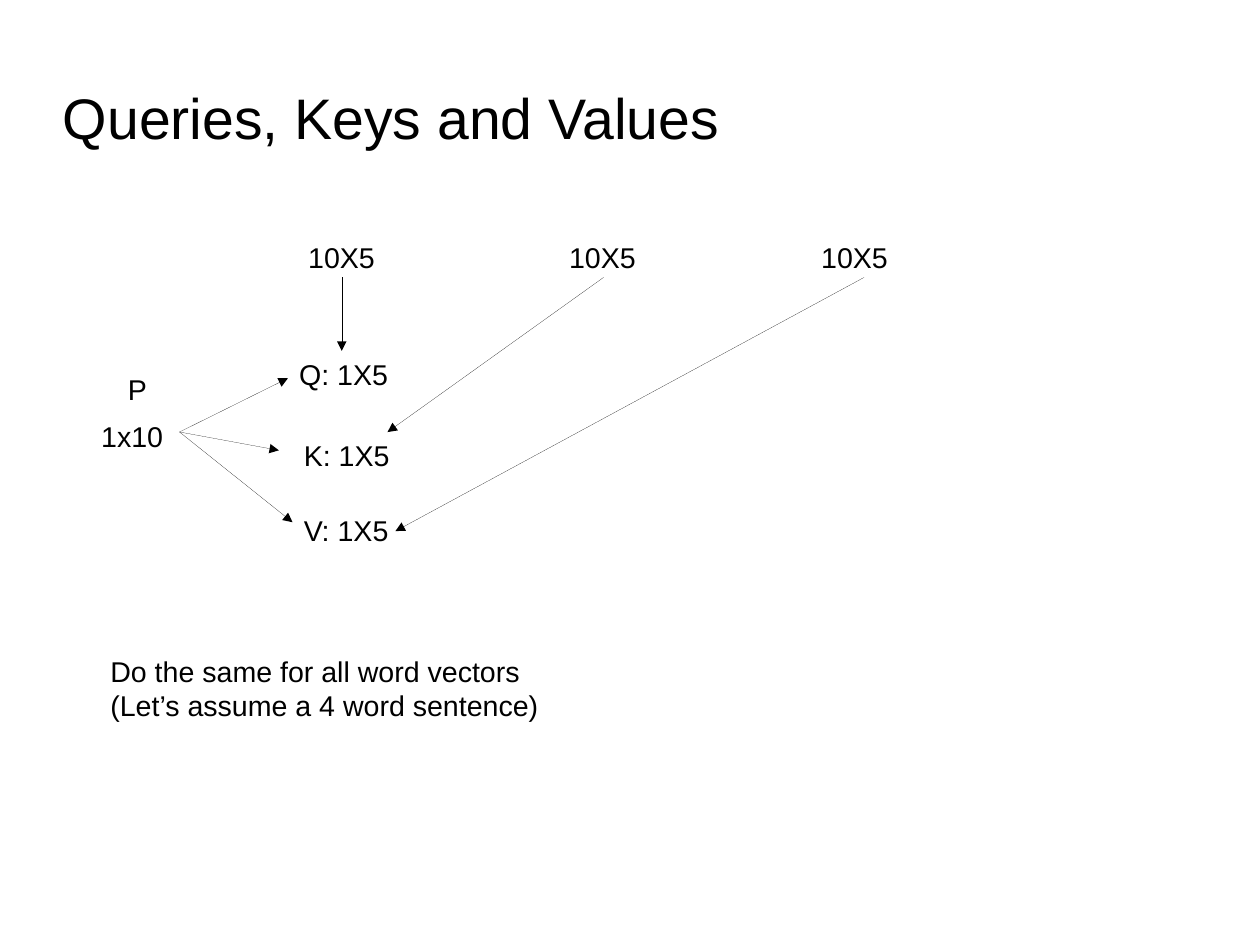
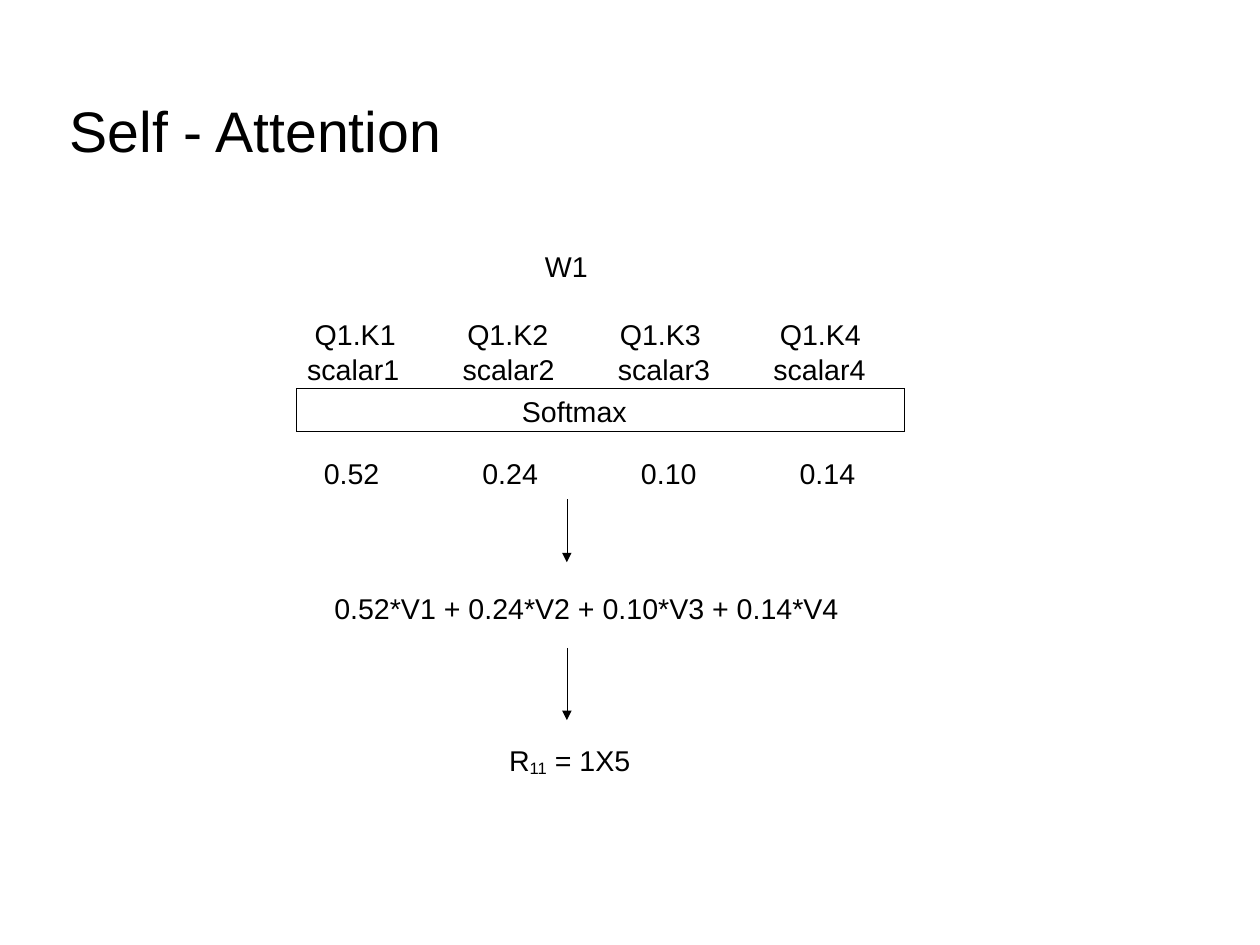
from dataclasses import dataclass

from lxml.etree import SubElement
from pptx import Presentation
from pptx.dml.color import RGBColor
from pptx.enum.shapes import MSO_CONNECTOR, MSO_SHAPE
from pptx.enum.text import MSO_ANCHOR, PP_ALIGN
from pptx.oxml.ns import qn
from pptx.shapes.autoshape import Shape
from pptx.shapes.connector import Connector
from pptx.slide import Slide
from pptx.text.text import TextFrame
from pptx.util import Pt

TOP, LEFT, BOTTOM, RIGHT = range(4)


@dataclass(frozen=True)
class Theme:
    font: str = "Arial"
    ink: RGBColor = RGBColor(0, 0, 0)
    title_size: float = 36
    body_size: float = 18
    hairline: str = "0"
    inset_x: float = 7.2
    inset_y: float = 3.6
    subscript: str = "-8000"


THEME = Theme()


@dataclass(frozen=True)
class Label:
    text: str
    left: float
    top: float
    width: float
    height: float = 27.4


@dataclass(frozen=True)
class Site:
    """The middle of one side of a shape."""
    shape: Shape
    side: int


@dataclass(frozen=True)
class Point:
    x: float
    y: float


@dataclass(frozen=True)
class Row:
    texts: tuple[str, ...]
    lefts: tuple[float, ...]
    top: float


def write(frame: TextFrame, text: str, size: float) -> None:
    frame.word_wrap = True
    frame.text = text
    for paragraph in frame.paragraphs:
        paragraph.alignment = PP_ALIGN.LEFT
        paragraph.font.name = THEME.font
        paragraph.font.size = Pt(size)
        paragraph.font.color.rgb = THEME.ink


def set_insets(frame: TextFrame, left: float, top: float) -> None:
    frame.margin_left, frame.margin_top = Pt(left), Pt(top)
    frame.margin_right = frame.margin_bottom = Pt(0)


def set_hairline(shape: Shape | Connector) -> None:
    """Write the zero width out, since line.width drops it as a default."""
    shape.line.color.rgb = THEME.ink
    shape._element.spPr.find(qn("a:ln")).set("w", THEME.hairline)


def add_title(slide: Slide, text: str, left: float, top: float) -> None:
    box = slide.shapes.add_textbox(Pt(left), Pt(top), Pt(570), Pt(41.4))
    set_insets(box.text_frame, 0, 0)
    box.text_frame.vertical_anchor = MSO_ANCHOR.MIDDLE
    write(box.text_frame, text, THEME.title_size)


def add_label(slide: Slide, label: Label) -> Shape:
    box = slide.shapes.add_textbox(
        Pt(label.left), Pt(label.top), Pt(label.width), Pt(label.height))
    set_insets(box.text_frame, THEME.inset_x, THEME.inset_y)
    write(box.text_frame, label.text, THEME.body_size)
    return box


def add_row(slide: Slide, row: Row) -> None:
    for text, left in zip(row.texts, row.lefts, strict=True):
        add_label(slide, Label(text, left, row.top, 80))


def evenly(left: float, pitch: float) -> tuple[float, ...]:
    return tuple(left + pitch * index for index in range(4))


def add_arrow(slide: Slide, start: Site | Point, end: Site | Point) -> None:
    begin_point, end_point = (
        place if isinstance(place, Point) else Point(0, 0) for place in (start, end))
    arrow = slide.shapes.add_connector(
        MSO_CONNECTOR.STRAIGHT, Pt(begin_point.x), Pt(begin_point.y),
        Pt(end_point.x), Pt(end_point.y))
    if isinstance(start, Site):
        arrow.begin_connect(start.shape, start.side)
    if isinstance(end, Site):
        arrow.end_connect(end.shape, end.side)
    set_hairline(arrow)
    properties = arrow._element.spPr
    SubElement(properties.find(qn("a:ln")), qn("a:tailEnd"), type="triangle")
    SubElement(properties, qn("a:effectLst"))


def build_projections(slide: Slide) -> None:
    add_title(slide, "Queries, Keys and Values", 39.6, 52.8)
    add_label(slide, Label("P", 73.4, 230.8, 56.2))
    word = add_label(slide, Label("1x10", 56.7, 260.6, 56.4, 23.1))
    add_label(slide, Label("Do the same for all word vectors\n"
                           "(Let’s assume a 4 word sentence)", 62.4, 408.2, 402.5, 128.2))
    query_weights, key_weights, value_weights = (
        add_label(slide, Label("10X5", left, 147.4, width))
        for left, width in ((187, 56.6), (351.4, 57.6), (510.2, 68.2)))
    query = add_label(slide, Label("Q: 1X5", 181.4, 221, 67.8, 34.6))
    add_label(slide, Label("K: 1X5", 184.3, 272.2, 85))
    value = add_label(slide, Label("V: 1X5", 184.3, 319.5, 64.8, 30.2))

    add_arrow(slide, Site(query_weights, BOTTOM), Site(query, TOP))
    add_arrow(slide, Site(key_weights, BOTTOM), Point(244.1, 272.2))
    add_arrow(slide, Site(value_weights, BOTTOM), Site(value, RIGHT))
    for end in (Site(query, LEFT), Point(175.7, 283.7), Point(184.3, 329)):
        add_arrow(slide, Site(word, RIGHT), end)


def build_attention(slide: Slide) -> None:
    add_title(slide, "Self - Attention", 43.9, 61.2)
    add_label(slide, Label("W1", 336.1, 153.4, 60))
    add_row(slide, Row(("Q1.K1", "Q1.K2", "Q1.K3", "Q1.K4"),
                       (191.2, 287.3, 383.4, 484.2), 196.3))
    add_row(slide, Row(("scalar1", "scalar2", "scalar3", "scalar4"),
                       evenly(186.4, 97.9), 218.2))

    softmax = slide.shapes.add_shape(
        MSO_SHAPE.RECTANGLE, Pt(187), Pt(244.6), Pt(382.6), Pt(27.4))
    softmax.shadow.inherit = False
    softmax.fill.background()
    set_hairline(softmax)
    set_insets(softmax.text_frame, 141.8, THEME.inset_y)
    softmax.text_frame.vertical_anchor = MSO_ANCHOR.TOP
    write(softmax.text_frame, "Softmax", THEME.body_size)

    add_row(slide, Row(("0.52", "0.24", "0.10", "0.14"), evenly(196.9, 99.9), 283.6))
    add_label(slide, Label("0.52*V1 + 0.24*V2 + 0.10*V3 + 0.14*V4", 203.5, 368.6, 390))
    result = add_label(slide, Label("R", 313.6, 464.8, 168, 33.1))
    paragraph = result.text_frame.paragraphs[0]
    subscript = paragraph.add_run()
    subscript.text = "11"
    subscript._r.get_or_add_rPr().set("baseline", THEME.subscript)
    paragraph.add_run().text = " = 1X5"

    for top, bottom in ((314.6, 354.2), (408.2, 453.6)):
        add_arrow(slide, Point(357.1, top), Point(357.1, bottom))


def main() -> None:
    presentation = Presentation()
    presentation.slide_width, presentation.slide_height = Pt(793.7), Pt(595.3)
    blank = presentation.slide_layouts[6]
    for build in (build_projections, build_attention):
        build(presentation.slides.add_slide(blank))
    presentation.save("out.pptx")


if __name__ == "__main__":
    main()
